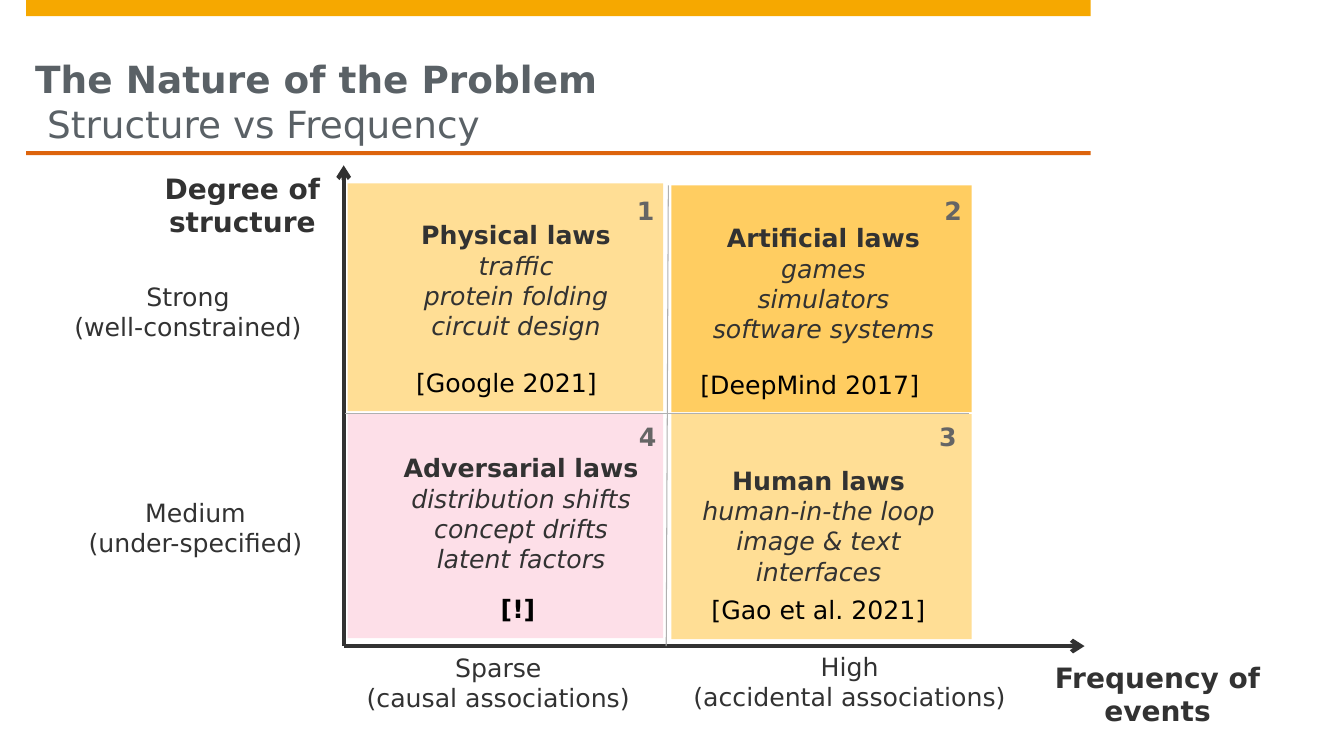
from lxml import etree
from pptx import Presentation
from pptx.dml.color import RGBColor
from pptx.enum.shapes import MSO_CONNECTOR, MSO_SHAPE
from pptx.enum.text import MSO_ANCHOR, MSO_AUTO_SIZE, PP_ALIGN
from pptx.oxml.ns import qn
from pptx.util import Pt

RECTANGLE = MSO_SHAPE.RECTANGLE
STRAIGHT = MSO_CONNECTOR.STRAIGHT
TOP, MIDDLE, BOTTOM = MSO_ANCHOR.TOP, MSO_ANCHOR.MIDDLE, MSO_ANCHOR.BOTTOM
LEFT, CENTER = PP_ALIGN.LEFT, PP_ALIGN.CENTER
FIT_TEXT = MSO_AUTO_SIZE.SHAPE_TO_FIT_TEXT

FONT = "DejaVu Sans"
DARK, GREY, BLACK, TITLE_GREY = "323232", "656565", "000000", "5A6166"
AMBER, ORANGE = "F6A800", "DD640C"
LIGHT_YELLOW, DEEP_YELLOW, PINK = "FFDE95", "FFCD61", "FDC0D2"
DIVIDER_GREY = "B0B0B0"

PLAIN = {"size": Pt(18), "bold": False, "italic": False}
BOLD = {**PLAIN, "bold": True}
ITALIC = {**PLAIN, "italic": True}
AXIS_TITLE = {**BOLD, "size": Pt(20)}
TITLE = {**BOLD, "size": Pt(26.7)}
SUBTITLE = {**TITLE, "bold": False}

# Each quadrant: number, fill, opacity %, area, number position,
# heading, examples, their box, citation, its style and box
QUADRANTS = [
    ("1", LIGHT_YELLOW, 100, (248.4, 131, 225.4, 162.7), (447.8, 136.1),
     "Physical laws", ["traffic", "protein folding", "circuit design"],
     (277.2, 139, 182.9, 122.4),
     "[Google 2021]", PLAIN, (290.2, 258.5, 170.6, 28.8)),
    ("2", DEEP_YELLOW, 100, (479.5, 132.5, 214.6, 162), (667.4, 136.1),
     "Artificial laws", ["games", "simulators", "software systems"],
     (496.8, 141.1, 182.9, 122.4),
     "[DeepMind 2017]", PLAIN, (493.2, 260.6, 194.4, 28.8)),
    ("3", LIGHT_YELLOW, 100, (479.5, 295.9, 214.6, 160.6), (663.8, 297.4),
     "Human laws", ["human-in-the loop", "image & text interfaces"],
     (477.4, 295.2, 214.6, 160.6),
     "[Gao et al. 2021]", PLAIN, (501.1, 421.2, 178.6, 28.8)),
    ("4", PINK, 50, (248.4, 295.2, 225.4, 160.6), (449.3, 297.4),
     "Adversarial laws",
     ["distribution shifts", "concept drifts", "latent factors"],
     (274.3, 315.4, 195.8, 102.2),
     "[!]", BOLD, (350.6, 420.5, 51.8, 28.8)),
]

AXIS_LABELS = [
    (["Frequency of events"], AXIS_TITLE, (743, 468, 167.8, 55.4)),
    (["Degree of structure"], AXIS_TITLE, (108, 118.8, 130.3, 55.4)),
    (["Sparse", "(causal associations)"], PLAIN, (249.1, 462.2, 213.8, 51.1)),
    (["High", "(accidental associations)"], PLAIN, (483.8, 461.5, 246.2, 51.1)),
    (["Medium", "(under-specified)"], PLAIN, (48.2, 351.4, 182.9, 51.1)),
    (["Strong", "(well-constrained)"], PLAIN, (17.3, 197.3, 234, 51.1)),
]


def color(hex_value):
    return RGBColor.from_string(hex_value)


def points(values):
    return [Pt(value) for value in values]


def add_block(slide, area, fill, opacity=100):
    block = slide.shapes.add_shape(RECTANGLE, *points(area))
    block.shadow.inherit = False
    block.fill.solid()
    block.fill.fore_color.rgb = color(fill)
    block.line.fill.background()
    if opacity < 100:
        tint = block.fill._xPr.find(".//" + qn("a:srgbClr"))
        etree.SubElement(tint, qn("a:alpha")).set("val", str(opacity * 1000))


def add_text(slide, area, lines, ink=DARK, align=CENTER, anchor=TOP,
             wrap=True, fit=True):
    """Write (text, format) pairs, one paragraph each."""
    frame = slide.shapes.add_textbox(*points(area)).text_frame
    frame.word_wrap = wrap
    frame.vertical_anchor = anchor
    if fit:
        frame.auto_size = FIT_TEXT
    for index, (text, style) in enumerate(lines):
        paragraph = frame.add_paragraph() if index else frame.paragraphs[0]
        paragraph.alignment = align
        run = paragraph.add_run()
        run.text = text
        run.font.name = FONT
        run.font.color.rgb = color(ink)
        for attribute, value in style.items():
            setattr(run.font, attribute, value)
    return frame


def add_line(slide, ends, ink, width, arrow=False):
    line = slide.shapes.add_connector(STRAIGHT, *points(ends))
    line.line.color.rgb = color(ink)
    line.line.width = Pt(width)
    if arrow:
        tip = etree.SubElement(line.line._get_or_add_ln(), qn("a:tailEnd"))
        tip.set("type", "arrow")
    etree.SubElement(line._element.spPr, qn("a:effectLst"))


def add_header(slide):
    add_block(slide, (18.7, 0, 760.3, 11.5), AMBER)
    add_block(slide, (18.7, 108, 760.3, 2.9), ORANGE)
    heading = add_text(
        slide, (25.2, 14.4, 828, 104.4),
        [("The Nature of the Problem", TITLE),
         ("Structure vs Frequency", SUBTITLE)],
        TITLE_GREY, LEFT, BOTTOM, fit=False)
    margins = {"margin_left": 0, "margin_top": 0,
               "margin_right": 0, "margin_bottom": Pt(14.4)}
    for side, margin in margins.items():
        setattr(heading, side, margin)
    # The subtitle is set in slightly from the title
    subtitle = heading.paragraphs[1]._p.get_or_add_pPr()
    subtitle.set("marL", str(Pt(8.5)))


def add_quadrant(slide, number, fill, opacity, area, number_at, heading,
                 examples, examples_area, citation, citation_style,
                 citation_area):
    add_block(slide, area, fill, opacity)
    lines = [(heading, BOLD)] + [(example, ITALIC) for example in examples]
    add_text(slide, examples_area, lines, anchor=MIDDLE, fit=False)
    add_text(slide, (*number_at, 27.4, 28.8), [(number, BOLD)], GREY, LEFT,
             wrap=False)
    add_text(slide, citation_area, [(citation, citation_style)], BLACK, LEFT)


def main():
    deck = Presentation()
    deck.slide_width, deck.slide_height = Pt(960), Pt(540)
    slide = deck.slides.add_slide(deck.slide_layouts[6])

    add_header(slide)

    # Axes from a shared corner, and their labels
    corner = (245.5, 461.5)
    for tip in [(245.5, 118.1), (774.7, 461.5)]:
        add_line(slide, (*corner, *tip), DARK, 3, arrow=True)
    for texts, style, area in AXIS_LABELS:
        add_text(slide, area, [(text, style) for text in texts])

    # Quadrants and the dividers between them
    for quadrant in QUADRANTS:
        add_quadrant(slide, *quadrant)
    for ends in [(477.4, 132.5, 475.9, 461.5), (691.9, 295.2, 246.2, 295.2)]:
        add_line(slide, ends, DIVIDER_GREY, 0.75)

    deck.save("out.pptx")


if __name__ == "__main__":
    main()
